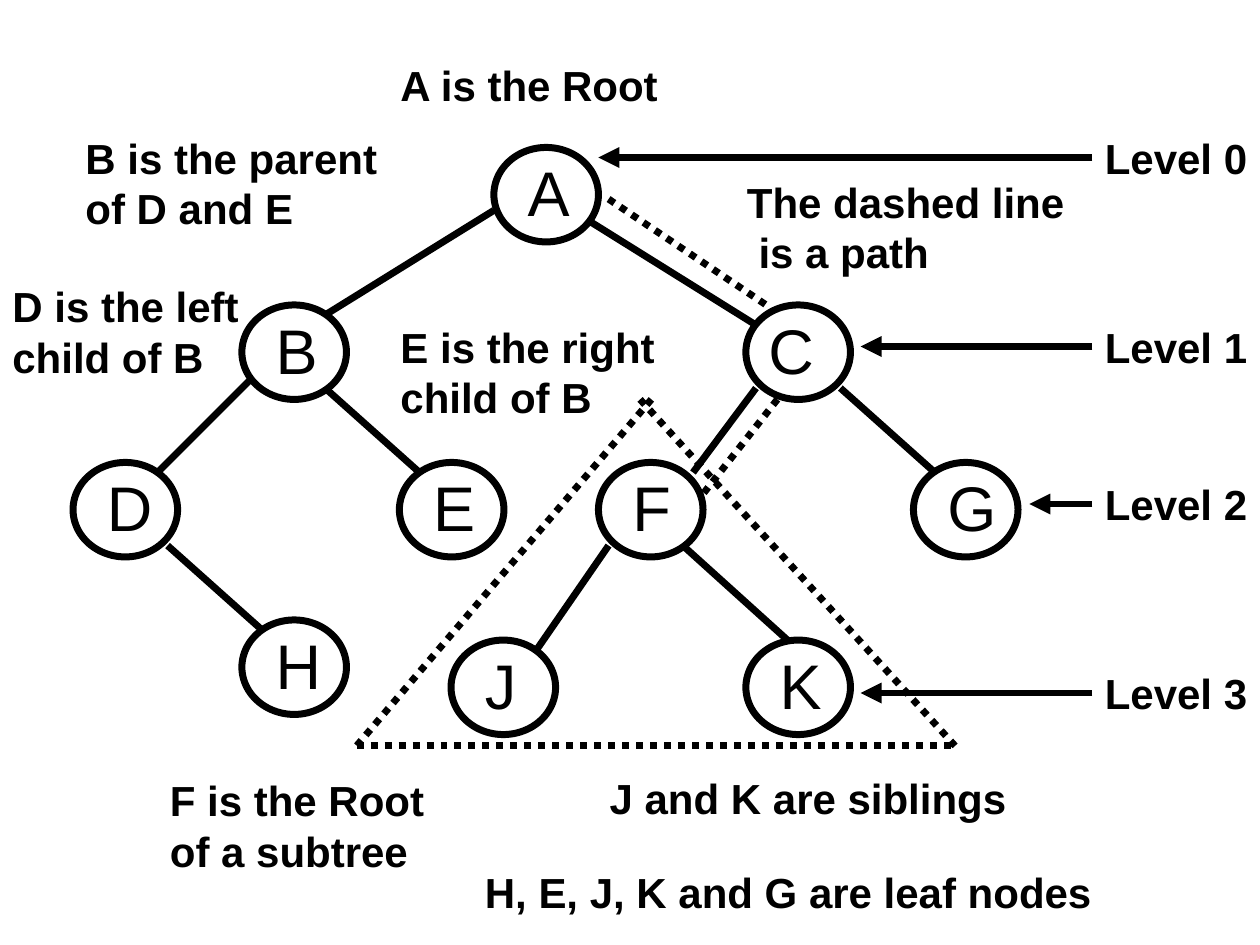
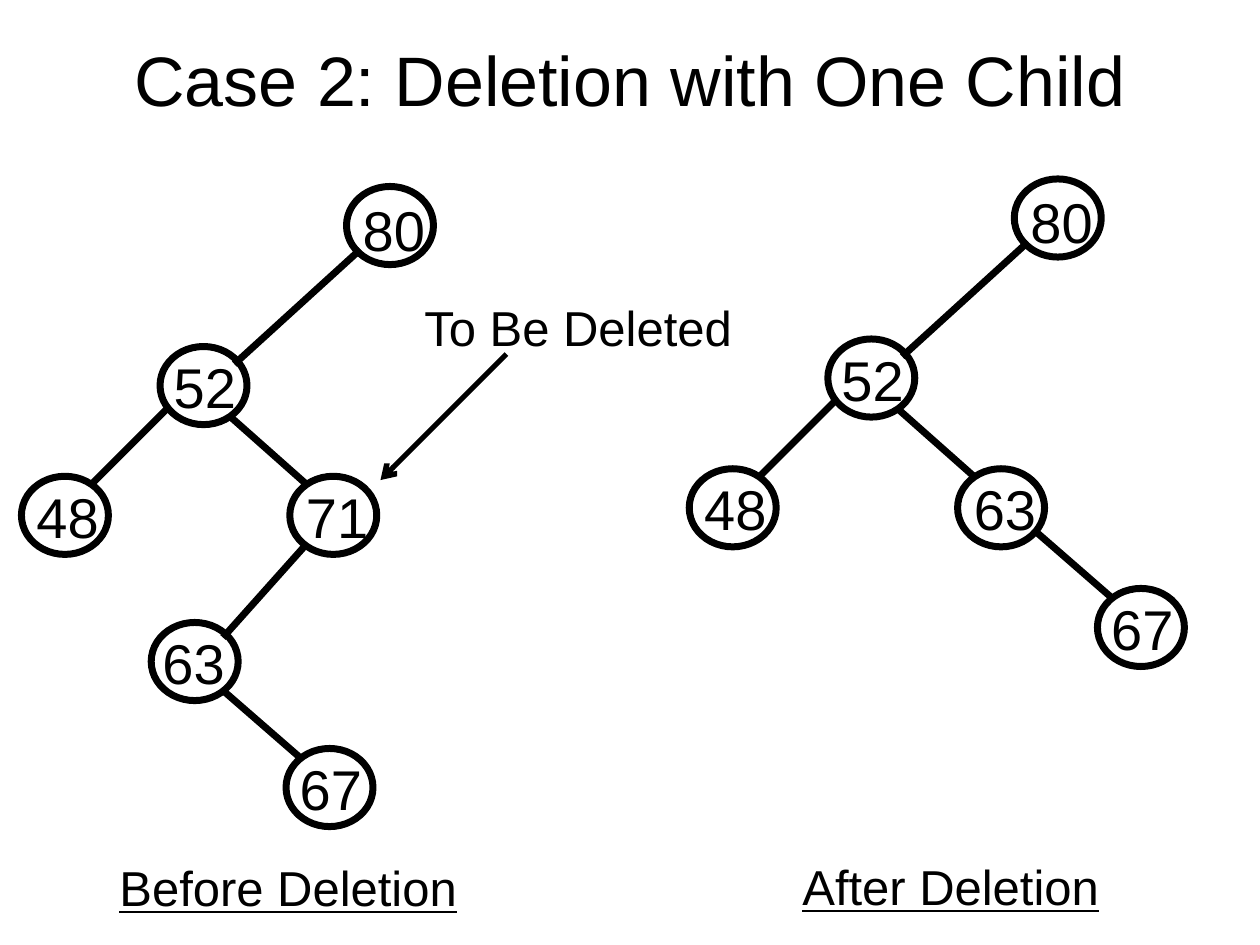
"""Builds two slides about binary trees: node vocabulary and deletion with one child."""
from lxml import etree
from pptx import Presentation
from pptx import util as u
from pptx.dml import color
from pptx.enum import dml, shapes, text
from pptx.oxml import ns

PX = 9144


def px(*lengths):
    """Turns px lengths, 100 to the inch, into EMU."""
    return [u.Emu(n * PX) for n in lengths]


def rgb(code):
    """Turns a hex string into a colour."""
    return color.RGBColor.from_string(code)


def write(tf, content, size=24, bold=False, underline=False, font="Arial", ink="000000", align=None):
    """Fills a text frame, one paragraph for each line of the content."""
    for i, line in enumerate(content.split("\n")):
        p = tf.paragraphs[0] if i == 0 else tf.add_paragraph()
        p.alignment = align
        r = p.add_run()
        r.text = line
        r.font.name, r.font.size = font, u.Pt(size)
        r.font.bold, r.font.underline = bold, underline
        r.font.color.rgb = rgb(ink)


class Deck:
    """Holds the style and the current slide."""

    ink = "000000"
    weight = 4

    def __init__(self):
        """Starts an empty deck."""
        self.prs = Presentation()
        self.prs.slide_width, self.prs.slide_height = px(1000, 750)
        self.s = None

    def slide(self, title=None):
        """Adds a slide, with a title if one is given."""
        self.s = self.prs.slides.add_slide(self.prs.slide_layouts[5 if title else 6])
        if title:
            sp = self.s.shapes.title
            sp.left, sp.top, sp.width, sp.height = px(50, 0, 900, 125)
            sp.text_frame.vertical_anchor = text.MSO_ANCHOR.MIDDLE
            write(sp.text_frame, title, size=40, ink=self.ink, align=text.PP_ALIGN.CENTER)

    def label(self, x, y, w, h, content, parent=None, **style):
        """Adds a text box that fits its text."""
        sp = (parent or self.s).shapes.add_textbox(*px(x, y, w, h))
        tf = sp.text_frame
        tf.word_wrap = False
        tf.auto_size = text.MSO_AUTO_SIZE.SHAPE_TO_FIT_TEXT
        tf.margin_right = px(5)[0]
        write(tf, content, ink=self.ink, **style)
        return sp

    def stroke(self, line, weight):
        """Formats a line in the deck's ink."""
        line.color.rgb = rgb(self.ink)
        line.width = u.Pt(weight)

    def node(self, x, y, w, h, content, dx, dy, label_w, label_h, size):
        """Adds an oval grouped with its label."""
        group = self.s.shapes.add_group_shape()
        sp = group.shapes.add_shape(shapes.MSO_SHAPE.OVAL, *px(x, y, w, h))
        sp.shadow.inherit = False
        sp.fill.background()
        self.stroke(sp.line, self.weight)
        self.label(x + dx, y + dy, label_w, label_h, content, parent=group, size=size)

    def line(self, x1, y1, x2, y2, dotted=False, head=None, weight=weight, start=None):
        """Adds a straight line, optionally dotted, arrowed or joined to a left side."""
        c = self.s.shapes.add_connector(shapes.MSO_CONNECTOR.STRAIGHT, *px(x1, y1, x2, y2))
        self.stroke(c.line, weight)
        if dotted:
            c.line.dash_style = dml.MSO_LINE.ROUND_DOT
        if head:
            etree.SubElement(c.line._get_or_add_ln(), ns.qn("a:tailEnd"), type=head)
        etree.SubElement(c._element.spPr, ns.qn("a:effectLst"))
        if start is not None:
            c.begin_connect(start, 1)


def vocabulary(d):
    """Draws the tree that names the parts of a binary tree."""
    d.slide()
    nodes = [("A", 392, 117, 53), ("B", 192, 242, 53), ("C", 592, 242, 56),
             ("D", 58, 367, 56), ("E", 317, 367, 53), ("F", 475, 367, 50),
             ("G", 725, 367, 59), ("H", 192, 492, 56), ("J", 358, 508, 45),
             ("K", 592, 508, 53)]
    for name, x, y, label_w in nodes:
        d.node(x, y, 83, 75, name, 8 if name == "C" else 17, 0, label_w, 70, 36)

    edges = [(392, 167, 258, 250), (467, 175, 600, 258), (200, 300, 125, 375),
             (258, 308, 333, 375), (600, 308, 550, 375), (667, 308, 742, 375),
             (133, 433, 208, 500), (483, 433, 425, 517), (542, 433, 625, 508)]
    for edge in edges:
        d.line(*edge)

    path = [(483, 158, 608, 242), (617, 317, 558, 392)]
    subtree = [(517, 317, 283, 592), (283, 592, 758, 592), (508, 317, 758, 592)]
    for dots in path + subtree:
        d.line(*dots, dotted=True)

    for level, (y, tip) in enumerate([(125, 475), (275, 683), (400, 817), (550, 683)]):
        sp = d.label(867, y - 25, 133, 50, f"Level {level}", bold=True)
        d.line(867, y, tip, y, head="triangle", start=sp)

    notes = [(308, 42, 225, "A is the Root"),
             (58, 100, 261, "B is the parent\nof D and E"),
             (583, 135, 272, "The dashed line\n is a path"),
             (0, 218, 209, "D is the left\nchild of B"),
             (308, 250, 231, "E is the right\nchild of B"),
             (125, 610, 231, "F is the Root\nof a subtree"),
             (474, 608, 335, "J and K are siblings"),
             (375, 683, 501, "H, E, J, K and G are leaf nodes")]
    for x, y, w, note in notes:
        d.label(x, y, w, 90 if "\n" in note else 50, note, bold=True)


def number(d, x, y, value, dx, dy=0):
    """Adds a numbered node."""
    d.node(x, y, 69, 62, value, dx, dy, 69, 64, 32)


def trunk(d, x, y, right):
    """Draws the four upper nodes, shifted by x and y."""
    number(d, x + 275, y + 148, "80", 3, 2)
    number(d, x + 127, y + 275, "52", 1)
    number(d, x + 17, y + 378, "48", 2)
    number(d, x + 230, y + 378, right, 3)
    for x1, y1, x2, y2 in [(286, 198, 186, 289), (134, 323, 72, 385), (182, 330, 244, 385)]:
        d.line(x + x1, y + y1, x + x2, y + y2)


def last_leaf(d, x, y):
    """Draws node 67 with the edge from its parent."""
    number(d, x, y, "67", 1)
    d.line(x - 50, y - 46, x + 12, y + 8)


def deletion(d):
    """Draws the tree before and after a node with one child goes."""
    d.slide("Case 2: Deletion with One Child")
    trunk(d, 0, 0, "71")
    number(d, 120, 494, "63", -1)
    d.line(244, 431, 177, 506)
    last_leaf(d, 227, 594)
    d.label(327, 231, 268, 57, "To Be Deleted", size=28)
    d.line(402, 281, 302, 381, head="arrow", weight=3)

    trunk(d, 530, -6, "63")
    last_leaf(d, 871, 467)

    d.label(85, 676, 287, 57, "Before Deletion", size=28, underline=True)
    d.label(627, 675, 255, 57, "After Deletion", size=28, underline=True)


def main():
    """Builds and saves the deck."""
    d = Deck()
    vocabulary(d)
    deletion(d)
    d.prs.save("out.pptx")


if __name__ == "__main__":
    main()
